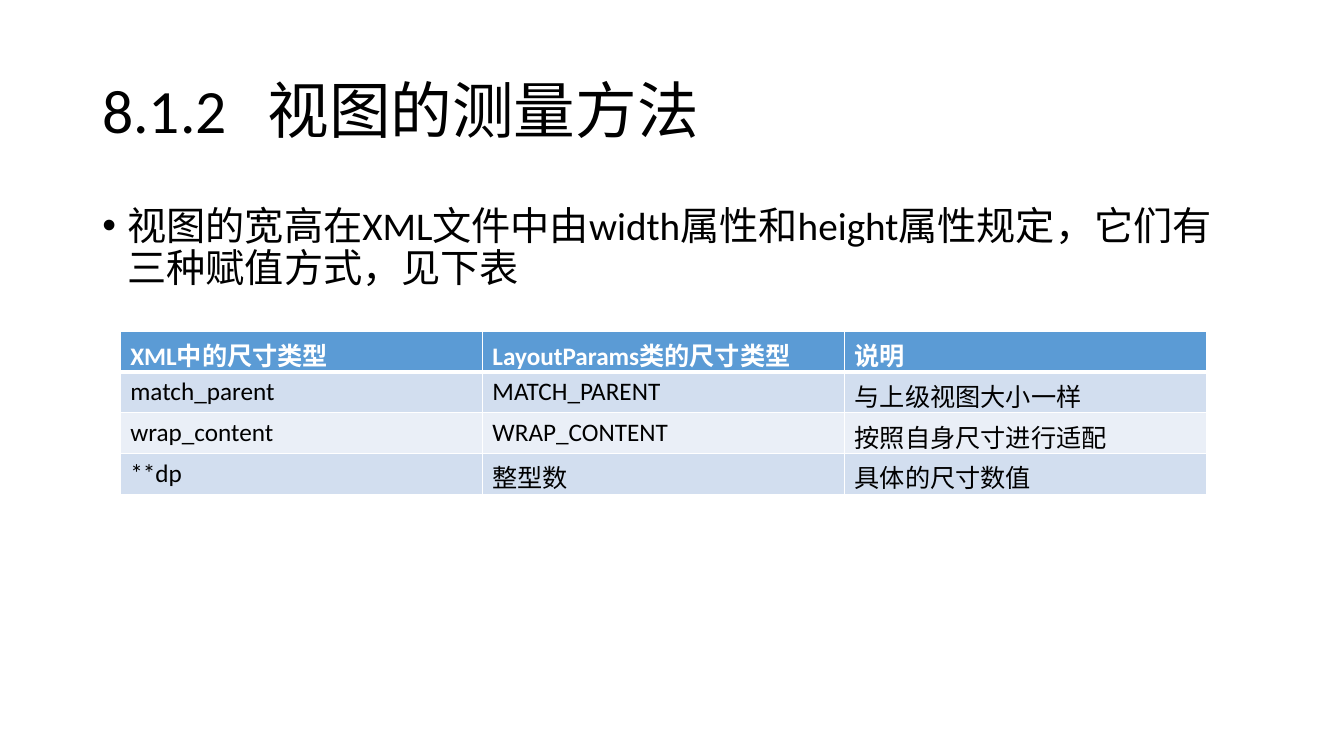
import pptx
import pptx.util
import pptx.dml.color
import pptx.enum.text
import pptx.oxml
import pptx.oxml.ns

Pt = pptx.util.Pt
NS = pptx.oxml.ns.nsdecls("a")
COLORS = {
    "text": "000000",
    "white": "FFFFFF",
    "head": "5B9BD5",
    "dark": "D2DEEF",
    "light": "EAEFF7",
}
ROWS = [
    ["XML中的尺寸类型", "LayoutParams类的尺寸类型", "说明"],
    ["match_parent", "MATCH_PARENT", "与上级视图大小一样"],
    ["wrap_content", "WRAP_CONTENT", "按照自身尺寸进行适配"],
    ["**dp", "整型数", "具体的尺寸数值"],
]


def style(para, size, color, bold=False):
    para.font.name = "Calibri"
    para.font.size = Pt(size)
    para.font.bold = bold
    para.font.color.rgb = pptx.dml.color.RGBColor.from_string(COLORS[color])


def add_text(top, height, text, size, marks):
    """Add a full-width text box; marks is bullet or tab XML for its paragraph."""
    box = slide.shapes.add_textbox(Pt(66), Pt(top), Pt(828), Pt(height))
    box.text_frame.word_wrap = True
    para = box.text_frame.paragraphs[0]
    para.text = text
    para.line_spacing = 0.9
    props = para._p.get_or_add_pPr()
    for mark in marks:
        props.append(pptx.oxml.parse_xml(mark))
    style(para, size, "text")
    return box.text_frame


deck = pptx.Presentation()
deck.slide_width, deck.slide_height = Pt(960), Pt(540)
slide = deck.slides.add_slide(deck.slide_layouts[6])

# Title, with a tab between number and name
tab = f'<a:tabLst {NS}><a:tab pos="{Pt(118)}" algn="l"/></a:tabLst>'
title = add_text(28.8, 104.4, "8.1.2\t视图的测量方法", 44, [tab])
title.vertical_anchor = pptx.enum.text.MSO_ANCHOR.MIDDLE

# Bulleted lead-in
bullet = [f'<a:buFont {NS} typeface="Arial"/>', f'<a:buChar {NS} char="•"/>']
lead = "视图的宽高在XML文件中由width属性和height属性规定，它们有三种赋值方式，见下表"
body = add_text(144, 342.6, lead, 28, bullet)
props = body.paragraphs[0]._p.get_or_add_pPr()
props.set("marL", str(Pt(18)))
props.set("indent", str(-Pt(18)))

# Table of size types
frame = slide.shapes.add_table(
    len(ROWS), 3, Pt(85.9), Pt(236.4), Pt(776.1), Pt(116.8))
table = frame.table
for col in table.columns:
    col.width = Pt(258.7)
for r, row in enumerate(ROWS):
    table.rows[r].height = Pt(29.2)
    fill = "head" if r == 0 else "dark" if r % 2 else "light"
    for c, text in enumerate(row):
        cell = table.cell(r, c)
        para = cell.text_frame.paragraphs[0]
        para.text = text
        style(para, 18, "text" if r else "white", r == 0)
        edges = cell._tc.get_or_add_tcPr()
        for side in "LRTB":
            thick = (r, side) in [(0, "B"), (1, "T")]
            edges.append(pptx.oxml.parse_xml(
                f'<a:ln{side} {NS} w="{Pt(3 if thick else 1)}"><a:solidFill>'
                f'<a:srgbClr val="{COLORS["white"]}"/></a:solidFill></a:ln{side}>'))
        cell.fill.solid()
        cell.fill.fore_color.rgb = pptx.dml.color.RGBColor.from_string(COLORS[fill])

deck.save("out.pptx")
